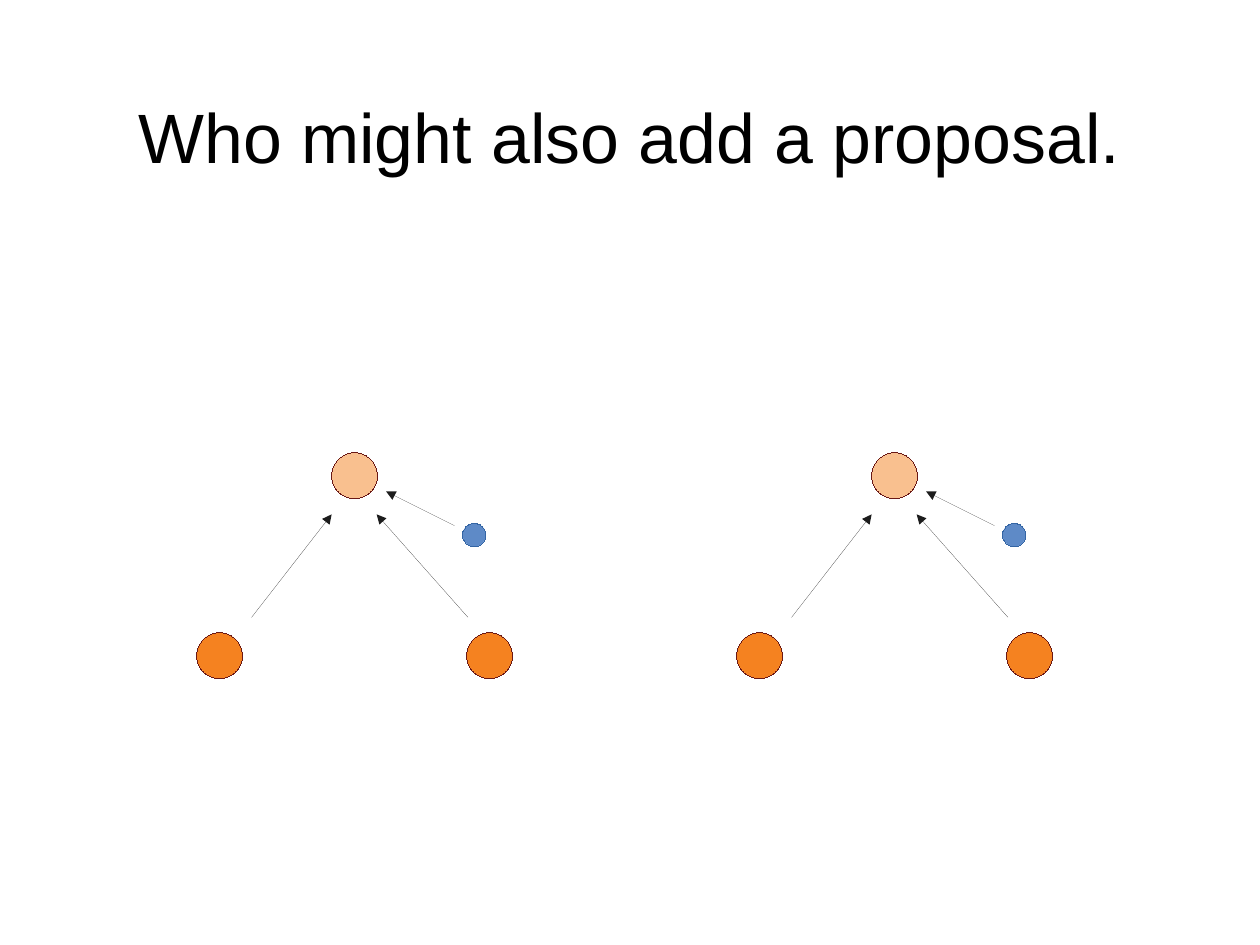
from lxml import etree
from pptx import Presentation
from pptx.dml.color import RGBColor
from pptx.enum.shapes import MSO_CONNECTOR, MSO_SHAPE
from pptx.enum.text import MSO_ANCHOR, PP_ALIGN
from pptx.oxml.ns import qn
from pptx.util import Cm, Pt

OVAL, STRAIGHT = MSO_SHAPE.OVAL, MSO_CONNECTOR.STRAIGHT
MIDDLE, CENTER = MSO_ANCHOR.MIDDLE, PP_ALIGN.CENTER

COLORS = {
    "text": "000000",
    "node": "F58220",
    "node_line": "6A1816",
    "proposer": "5E8AC7",
    "proposer_line": "3465A4",
    "arrow": "1C1C1C",
}
# Lengths in centimetres
WIDTH, HEIGHT = 28, 21
COLUMN, ROW = 6, 4       # grid of the nodes
LEFT, TOP = 4.37, 10.06  # corner of the grid
NODE, PROPOSER = 1.02, 0.52

deck = Presentation()
deck.slide_width, deck.slide_height = Cm(WIDTH), Cm(HEIGHT)
page = deck.slides.add_slide(deck.slide_layouts[6])


def add_circle(left, top, size, color, alpha=100):
    circle = page.shapes.add_shape(OVAL, Cm(left), Cm(top), Cm(size), Cm(size))
    circle.shadow.inherit = False
    circle.fill.solid()
    circle.fill.fore_color.rgb = RGBColor.from_string(COLORS[color])
    if alpha < 100:
        fill_color = circle._element.spPr.find(qn("a:solidFill"))[0]
        etree.SubElement(fill_color, qn("a:alpha"), val=str(alpha * 1000))
    circle.line.color.rgb = RGBColor.from_string(COLORS[color + "_line"])
    circle._element.spPr.find(qn("a:ln")).set("w", "0")


def add_arrow(x1, y1, x2, y2):
    arrow = page.shapes.add_connector(STRAIGHT, Cm(x1), Cm(y1), Cm(x2), Cm(y2))
    arrow.line.color.rgb = RGBColor.from_string(COLORS["arrow"])
    properties = arrow._element.spPr
    outline = properties.find(qn("a:ln"))
    outline.set("w", "0")
    etree.SubElement(outline, qn("a:tailEnd"), type="triangle", w="med", len="med")
    etree.SubElement(properties, qn("a:effectLst"))


# Title
box = page.shapes.add_textbox(
    Cm(WIDTH * 0.05), Cm(HEIGHT * 0.06), Cm(WIDTH * 0.9), Cm(3.5))
frame = box.text_frame
frame.word_wrap = True
frame.vertical_anchor = MIDDLE
frame.margin_left = frame.margin_right = frame.margin_top = frame.margin_bottom = 0
para = frame.paragraphs[0]
para.alignment = CENTER
span = para.add_run()
span.text = "Who might also add a proposal."
span.font.name = "Arial"
span.font.size = Pt(44)
span.font.color.rgb = RGBColor.from_string(COLORS["text"])

# Two equal trees, two columns apart
for tree in range(2):
    x = LEFT + tree * 2 * COLUMN

    # Bottom nodes, top node and the extra proposer
    for column in range(2):
        add_circle(x + column * COLUMN, TOP + ROW, NODE, "node")
    add_circle(x + COLUMN / 2, TOP, NODE, "node", alpha=50)
    add_circle(x + 5.91, TOP + 1.57, PROPOSER, "proposer")

    # Arrows to the top node
    add_arrow(x + 1.22, TOP + 3.66, x + 3, TOP + 1.37)
    add_arrow(x + 6.03, TOP + 3.66, x + 4, TOP + 1.37)
    add_arrow(x + 5.73, TOP + 1.62, x + 4.21, TOP + 0.86)

deck.save("out.pptx")
